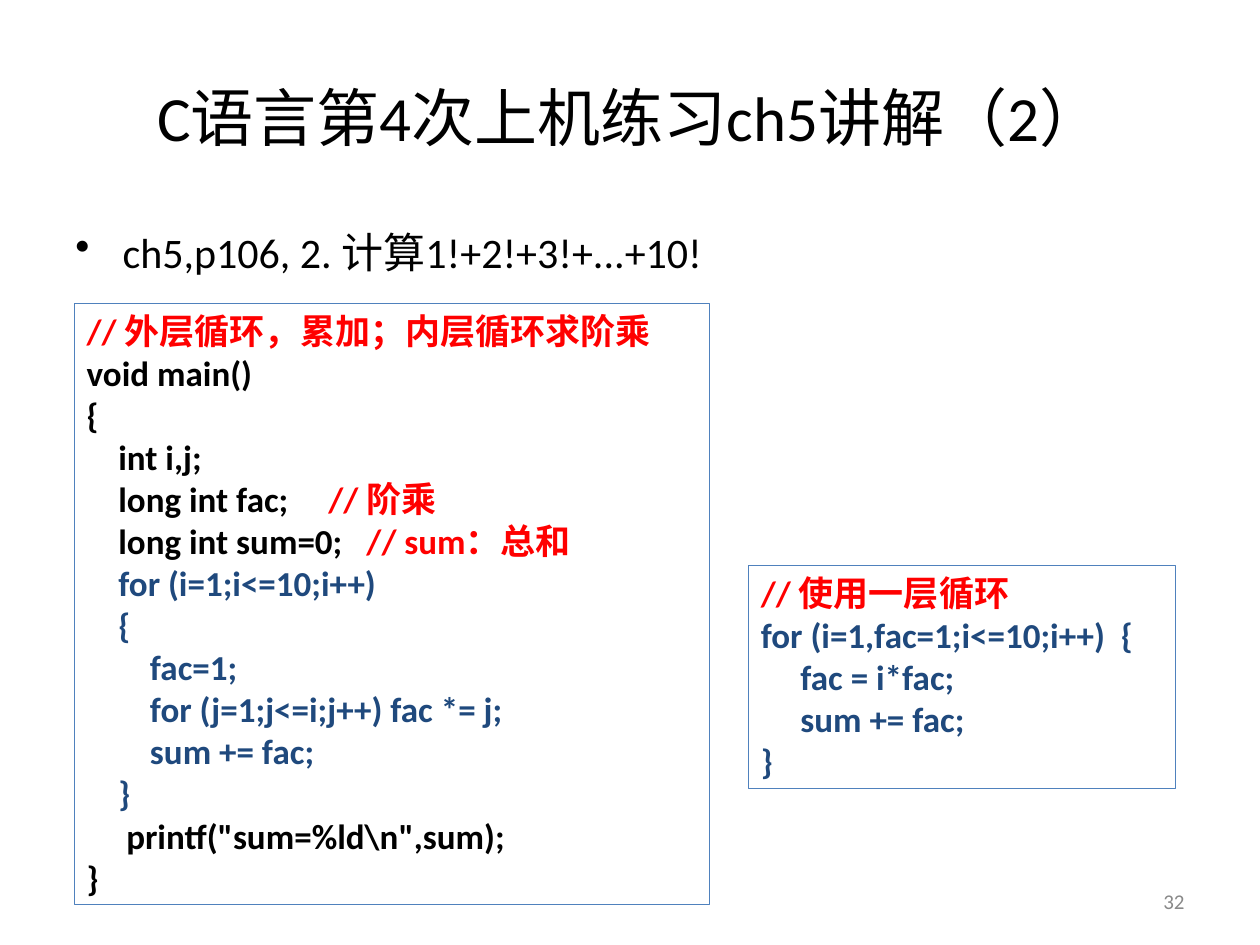
"""Build a slide explaining C exercise solutions for summing factorials."""
import pptx
import pptx.util
import pptx.dml.color
import pptx.enum.text
import pptx.oxml.ns
import lxml.etree

Pt = pptx.util.Pt
ALIGN = pptx.enum.text.PP_ALIGN
ANCHOR = pptx.enum.text.MSO_ANCHOR

FONT = "Calibri"
BLACK, RED, NAVY, GREY, BORDER = "000000", "FF0000", "1F497D", "898989", "4F81BD"

TITLE = "C语言第4次上机练习ch5讲解（2）"
TASK = "ch5,p106, 2. 计算1!+2!+3!+...+10!"
PAGE_NUMBER = "32"

NESTED_LOOP = [
    [("// 外层循环，累加；内层循环求阶乘", RED)],
    [("void main()", BLACK)],
    [("{", BLACK)],
    [("    int i,j;", BLACK)],
    [("    long int fac;     ", BLACK), ("// 阶乘", RED)],
    [("    long int sum=0;   ", BLACK), ("// sum：总和", RED)],
    [("    for (i=1;i<=10;i++)", NAVY)],
    [("    {", NAVY)],
    [("        fac=1;", NAVY)],
    [("        for (j=1;j<=i;j++) fac *= j;", NAVY)],
    [("        sum += fac;", NAVY)],
    [("    }", NAVY)],
    [('     printf("sum=%ld\\n",sum);', BLACK)],
    [("}", BLACK)],
]
SINGLE_LOOP = [
    [("// 使用一层循环", RED)],
    [("for (i=1,fac=1;i<=10;i++)  {", NAVY)],
    [("     fac = i*fac;", NAVY)],
    [("     sum += fac;", NAVY)],
    [("}", NAVY)],
]


def color(value):
    return pptx.dml.color.RGBColor.from_string(value)


def add_text(slide, box, lines, size, bold=False, align=ALIGN.LEFT, anchor=ANCHOR.TOP):
    shape = slide.shapes.add_textbox(*map(Pt, box))
    frame = shape.text_frame
    frame.word_wrap = True
    frame.vertical_anchor = anchor
    for index, line in enumerate(lines):
        paragraph = frame.add_paragraph() if index else frame.paragraphs[0]
        paragraph.alignment = align
        paragraph.font.name = FONT
        paragraph.font.size = Pt(size)
        paragraph.font.bold = bold
        for text, run_color in line:
            run = paragraph.add_run()
            run.text = text
            run.font.color.rgb = color(run_color)
    return shape


def add_bullet(paragraph, indent):
    properties = paragraph._p.get_or_add_pPr()
    properties.set("marL", str(Pt(indent)))
    properties.set("indent", str(-Pt(indent)))
    bullet = lxml.etree.Element(pptx.oxml.ns.qn("a:buChar"), char="•")
    properties.insert(0, bullet)


def add_code(slide, box, lines):
    shape = add_text(slide, box, lines, 20, bold=True)
    shape.line.color.rgb = color(BORDER)
    shape.line.width = Pt(0.75)


def main():
    presentation = pptx.Presentation()
    presentation.slide_width, presentation.slide_height = Pt(720), Pt(540)
    slide = presentation.slides.add_slide(presentation.slide_layouts[6])
    add_text(slide, (36, 21.6, 648, 90), [[(TITLE, BLACK)]], 36,
             align=ALIGN.CENTER, anchor=ANCHOR.MIDDLE)
    task = add_text(slide, (36, 126, 648, 356.4), [[(TASK, BLACK)]], 24)
    add_bullet(task.text_frame.paragraphs[0], 27)
    add_code(slide, (42.5, 173.5, 363, 343.5), NESTED_LOOP)
    add_code(slide, (427.7, 323.3, 244, 127.4), SINGLE_LOOP)
    add_text(slide, (516, 500.5, 168, 28.8), [[(PAGE_NUMBER, GREY)]], 12,
             align=ALIGN.RIGHT, anchor=ANCHOR.MIDDLE)
    presentation.save("out.pptx")


if __name__ == "__main__":
    main()
